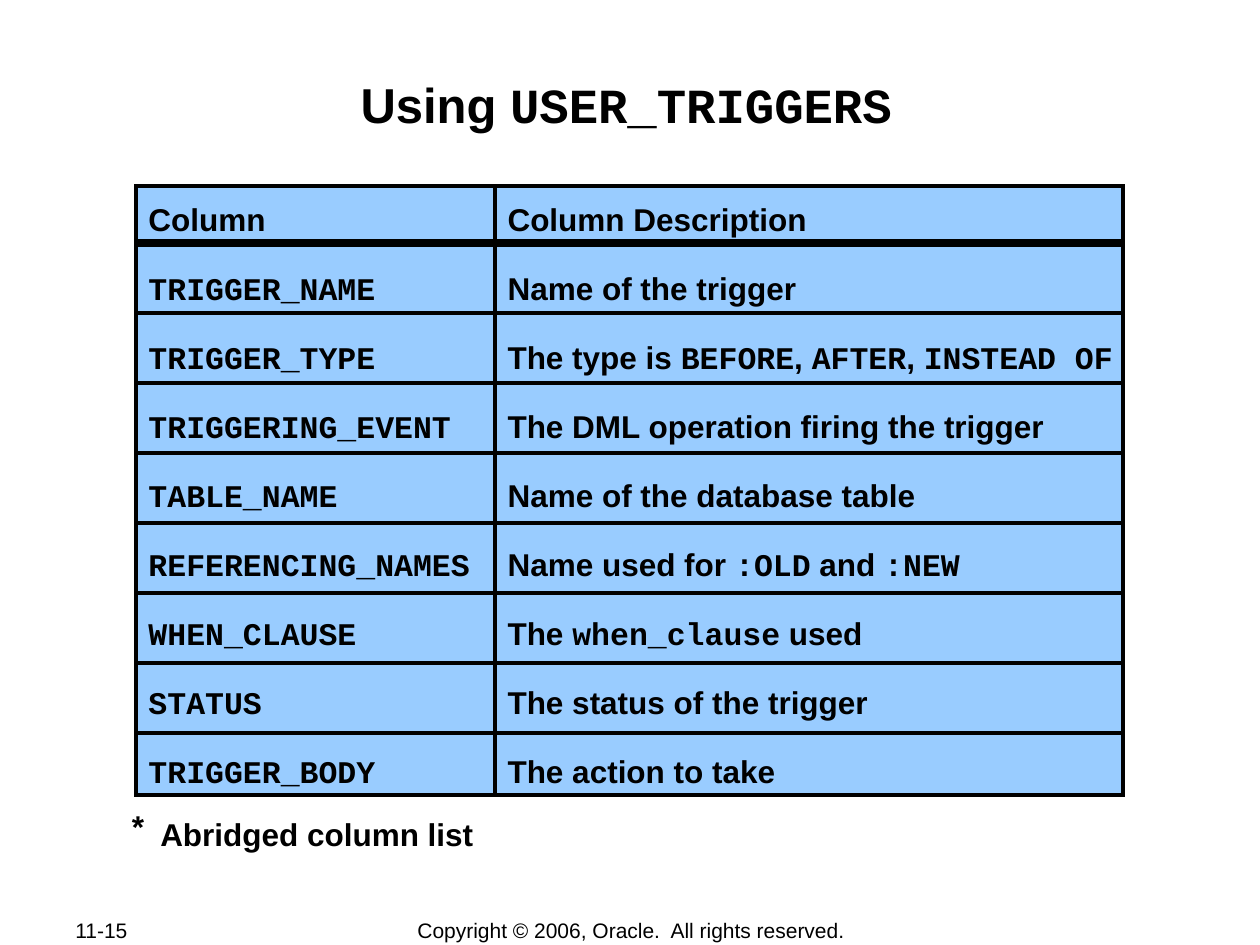
from dataclasses import dataclass
from pptx import Presentation
from pptx import util as u
from pptx.dml.color import RGBColor
from pptx.enum import shapes, text
from lxml import etree

WIDE, HIGH = 10, 7.5
A = "{http://schemas.openxmlformats.org/drawingml/2006/main}"


@dataclass
class Theme:
    ink: RGBColor = RGBColor(0, 0, 0)
    fill: RGBColor = RGBColor(0x99, 0xCC, 0xFF)
    sans: str = "Arial"
    mono: str = "Courier New"
    title: float = 28
    body: float = 18
    foot: float = 12
    rule: float = 2.25
    heavy: float = 4.5


T = Theme()
ROWS = [
    ("Column", "Column Description"),
    ("`TRIGGER_NAME`", "Name of the trigger"),
    ("`TRIGGER_TYPE`", "The type is `BEFORE`, `AFTER`, `INSTEAD OF`"),
    ("`TRIGGERING_EVENT`", "The DML operation firing the trigger"),
    ("`TABLE_NAME`", "Name of the database table"),
    ("`REFERENCING_NAMES`", "Name used for `:OLD` and `:NEW`"),
    ("`WHEN_CLAUSE`", "The `when_clause` used"),
    ("`STATUS`", "The status of the trigger"),
    ("`TRIGGER_BODY`", "The action to take"),
]


def write(shape, lines, size=T.body, bold=True, align="LEFT", anchor="TOP",
          wrap=True, lead=None, gap=0, inset=(0.1, 0.05, 0.1, 0.05)):
    """Fill a shape with paragraphs; words between backticks are set in mono."""
    frame = shape.text_frame
    frame.auto_size = text.MSO_AUTO_SIZE.NONE
    frame.word_wrap = wrap
    frame.vertical_anchor = getattr(text.MSO_ANCHOR, anchor)
    (frame.margin_left, frame.margin_top,
     frame.margin_right, frame.margin_bottom) = map(u.Inches, inset)
    for i, line in enumerate(lines):
        para = frame.add_paragraph() if i else frame.paragraphs[0]
        para.alignment = getattr(text.PP_ALIGN, align)
        para.space_before = u.Pt(gap if i else 0)
        if lead:
            para.line_spacing = lead
        for j, part in enumerate(line.split("`")):
            if part:
                run = para.add_run()
                run.text = part
                font = run.font
                font.name = T.mono if j % 2 else T.sans
                font.size, font.bold = u.Pt(size), bold
                font.color.rgb = T.ink


def label(slide, box, words, **form):
    write(slide.shapes.add_textbox(*map(u.Inches, box)), [words], **form)


def head(slide, box, words):
    name = slide.shapes.title
    name.left, name.top, name.width, name.height = map(u.Inches, box)
    write(name, [words], size=T.title, align="CENTER",
          inset=(0.01, 0.01, 0.01, 0.01))


def panel(slide, box, lines):
    rect = slide.shapes.add_shape(shapes.MSO_SHAPE.RECTANGLE,
                                  *map(u.Inches, box))
    rect.shadow.inherit = False
    rect.fill.solid()
    rect.fill.fore_color.rgb = T.fill
    rect.line.color.rgb = T.ink
    rect.line.width = u.Pt(T.rule)
    etree.SubElement(rect._element.spPr.find(A + "ln"), A + "miter",
                     lim="800000")
    write(rect, lines, lead=1.2, gap=13.5, inset=(0.1, 0.05, 0.02, 0.05))


def rule(slide, left, right, y, width):
    line = slide.shapes.add_connector(
        shapes.MSO_CONNECTOR.STRAIGHT,
        *map(u.Inches, (left, y, right, y)))
    line.line.color.rgb = T.ink
    line.line.width = u.Pt(width)
    etree.SubElement(line._element.spPr, A + "effectLst")


def grid(slide, box, rows, split=2.85, first=0.45, step=0.56):
    """Two panels side by side, ruled between the rows."""
    x, y, w, h = box
    left, right = zip(*rows)
    panel(slide, (x, y, split, h), left)
    panel(slide, (x + split, y, w - split, h), right)
    for i in range(len(rows) - 1):
        rule(slide, x, x + w, y + first + i * step,
             T.rule if i else T.heavy)


def note(slide, box, words):
    x, y, w, h = box
    mark = 0.53
    label(slide, (x + 0.34, y + 0.06, w - 0.34, h), words,
          align="CENTER", wrap=False)
    label(slide, (x, y, mark, h), "*", align="CENTER")


def foot(slide, box, page, words):
    x, y, w, h = box
    form = dict(size=T.foot, bold=False, anchor="MIDDLE")
    label(slide, (x, y, 1.06, h), page, **form)
    label(slide, (x + w / 4 + 0.01, y, w / 2, h), words,
          align="CENTER", **form)


def main():
    deck = Presentation()
    deck.slide_width, deck.slide_height = u.Inches(WIDE), u.Inches(HIGH)
    slide = deck.slides.add_slide(deck.slide_layouts.get_by_name("Title Only"))
    head(slide, (0.97, 0.58, 8, 0.96), "Using `USER_TRIGGERS`")
    grid(slide, (1.08, 1.48, 7.83, 4.83), ROWS, step=0.555)
    note(slide, (0.83, 6.36, 3.03, 0.4), "Abridged column list")
    foot(slide, (0.5, 7.28, WIDE - 1, 0.2), "11-15",
         "Copyright © 2006, Oracle.  All rights reserved.")
    deck.save("out.pptx")


if __name__ == "__main__":
    main()
